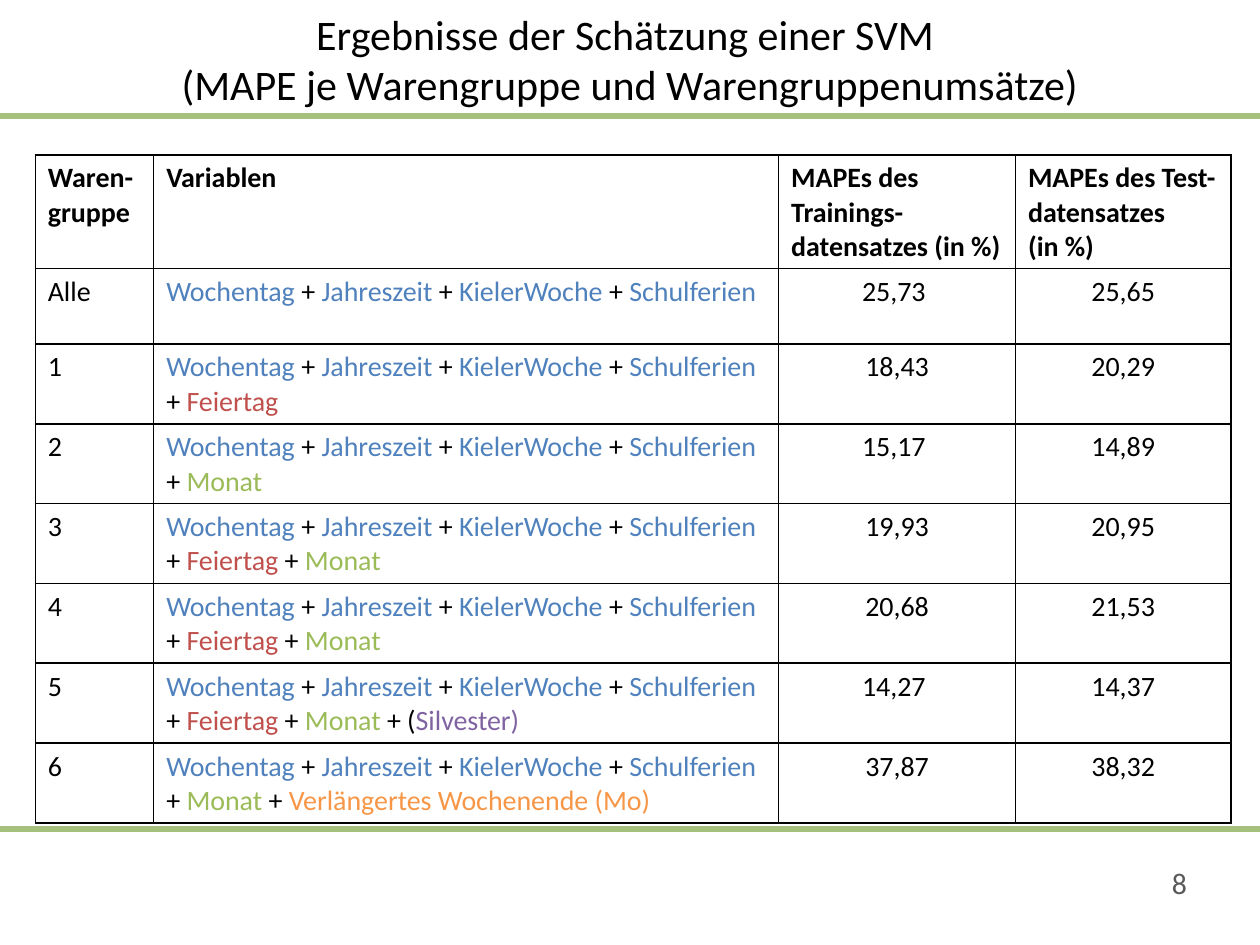
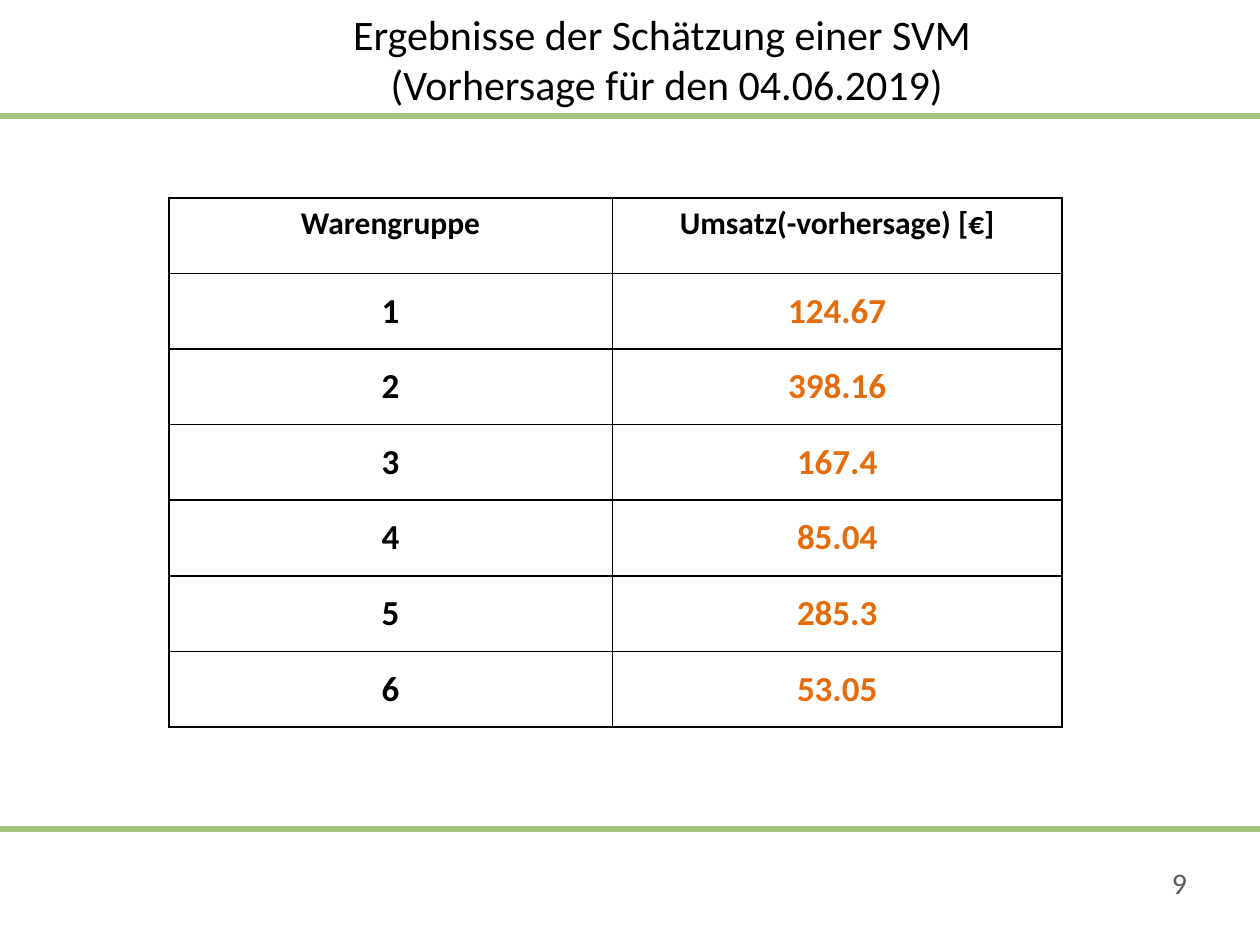
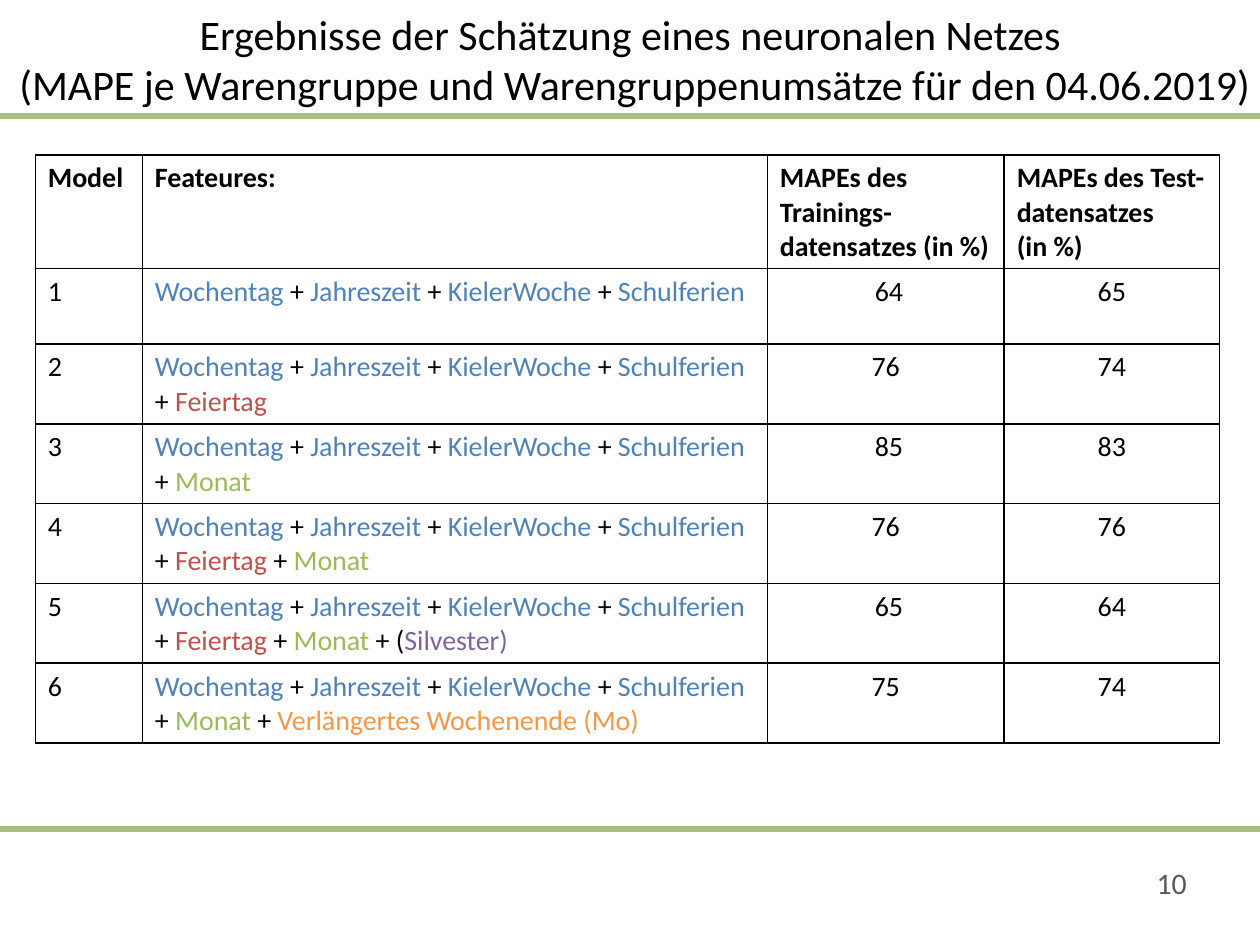
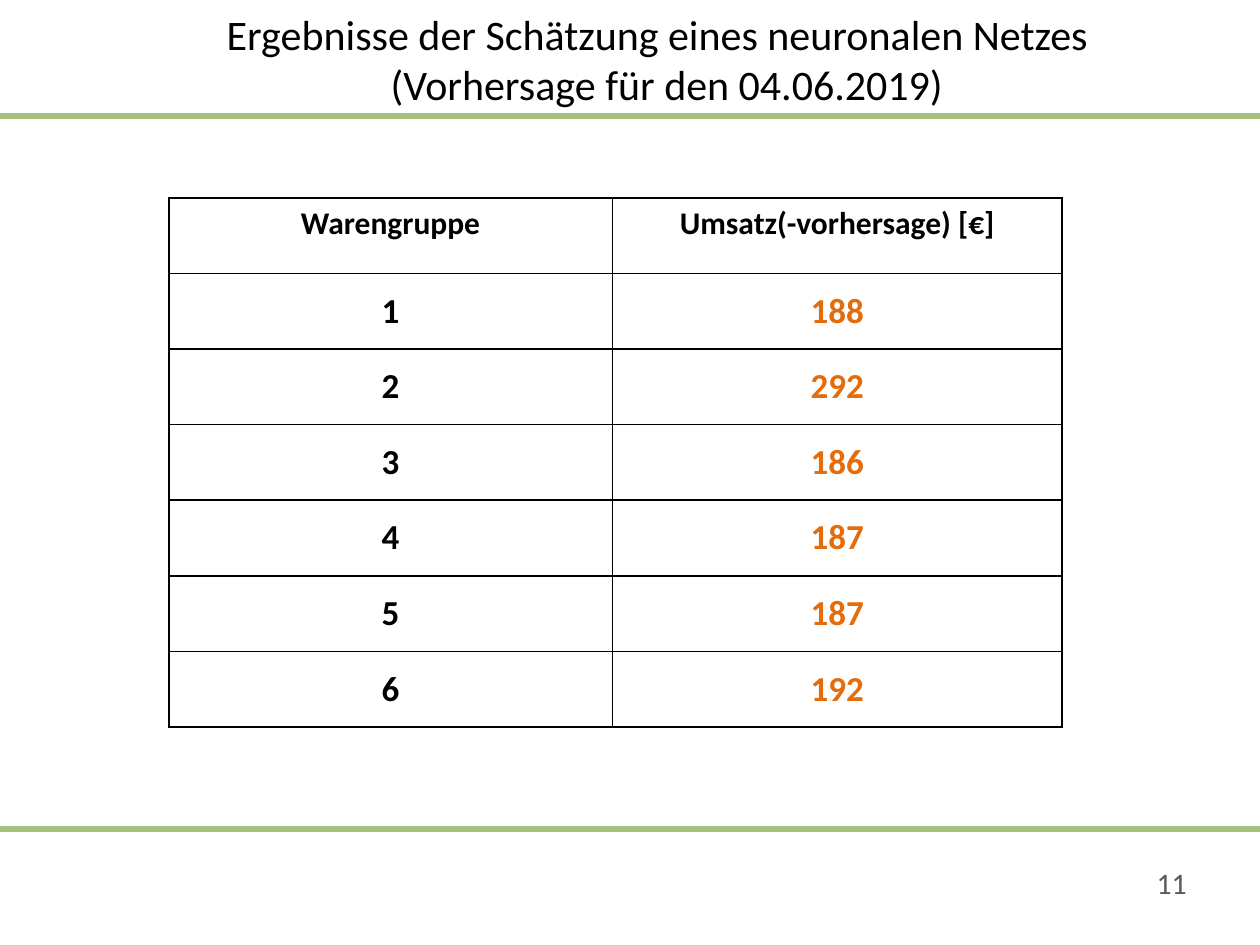
"""Build four slides with model errors and sales forecasts."""
import dataclasses

import lxml.etree
import pptx
import pptx.dml.color
import pptx.enum.shapes
import pptx.enum.text
import pptx.oxml.ns
import pptx.util

PX = 9144
ALIGN = pptx.enum.text.PP_ALIGN
ANCHOR = pptx.enum.text.MSO_ANCHOR


@dataclasses.dataclass(frozen=True)
class Theme:
    """Hold the colours, font and type sizes of the deck."""
    font: str = "Calibri"
    black: str = "000000"
    white: str = "FFFFFF"
    gray: str = "595959"
    green: str = "A6C07E"
    blue: str = "4F81BD"
    red: str = "C0504D"
    lime: str = "9BBB59"
    violet: str = "8064A2"
    amber: str = "F79646"
    orange: str = "E46C0A"
    title: int = 24
    page: int = 17
    cell: int = 16
    head: int = 18
    value: int = 20


@dataclasses.dataclass(frozen=True)
class Box:
    """Hold a place and size in px, 100 to the inch."""
    left: int
    top: int
    width: int
    height: int

    def emu(self):
        """Return the four lengths in EMU."""
        return [n * PX for n in (self.left, self.top, self.width, self.height)]


THEME = Theme()
HUES = {"Feiertag": THEME.red, "Monat": THEME.lime,
        "Silvester": THEME.violet, "Verlängertes": THEME.amber}
PAGE = Box(0, 0, 1000, 750)
RULES = (658, 92)
NUMBER = Box(718, 682, 233, 40)
PATCH = Box(12, 666, 244, 71)
WIDE = Box(0, 5, 1000, 83)
FULL = Box(-4, 5, 1016, 83)
RIGHT = Box(51, 5, 949, 83)
ERRORS = (28, 123)
SALES = (134, 157)

BASE = "Wochentag + Jahreszeit + KielerWoche + Schulferien"
HOLIDAY = BASE + "\n+ Feiertag"
MONTH = BASE + "\n+ Monat"
BOTH = HOLIDAY + " + Monat"
EVE = BASE + " + Feiertag + Monat + (Silvester)"
BREAK = MONTH + " + Verlängertes Wochenende (Mo)"
MAPES = ("MAPEs des Trainings-datensatzes (in %)",
         "MAPEs des Test-datensatzes\n(in %)")
SVM = "Ergebnisse der Schätzung einer SVM"
NET = "Ergebnisse der Schätzung eines neuronalen Netzes "
DAY = " (Vorhersage für den 04.06.2019)"

SVM_ROWS = (
    ("Waren-gruppe", "Variablen", *MAPES),
    ("Alle", BASE, "25,73 ", "25,65"),
    ("1", HOLIDAY, "18,43", "20,29"),
    ("2", MONTH, "15,17 ", "14,89"),
    ("3", BOTH, "19,93", "20,95"),
    ("4", BOTH, "20,68", "21,53"),
    ("5", EVE, "14,27 ", "14,37"),
    ("6", BREAK, "37,87", "38,32"),
)
NET_ROWS = (
    ("Model", "Feateures:", *MAPES),
    ("1", BASE, " 64", "65"),
    ("2", HOLIDAY, "76", "74"),
    ("3", MONTH, " 85", "83"),
    ("4", BOTH, "76", "76"),
    ("5", EVE, " 65", "64"),
    ("6", BREAK, "75", "74"),
)
SVM_SALES = ("124.67", "398.16", "167.4", "85.04", "285.3", "53.05")
NET_SALES = ("188", "292", "186", "187", "187", "192")


def rgb(code):
    """Turn a hex code into a colour."""
    return pptx.dml.color.RGBColor.from_string(code)


def style(run, size, hue=THEME.black, bold=False):
    """Set the font of one run."""
    run.font.name = THEME.font
    run.font.size = pptx.util.Pt(size)
    run.font.bold = bold
    run.font.color.rgb = rgb(hue)


def write(frame, text, size, hue=THEME.black, bold=False, align=ALIGN.LEFT):
    """Fill a text frame and format all its runs."""
    frame.text = text
    for para in frame.paragraphs:
        para.alignment = align
        for run in para.runs:
            style(run, size, hue, bold)


def add_run(para, text, hue):
    """Add one coloured run to a table paragraph."""
    run = para.add_run()
    run.text = text
    style(run, THEME.cell, hue)


def write_terms(frame, text):
    """Write a sum of terms, each in its own colour."""
    for row, line in enumerate(text.split("\n")):
        para = frame.add_paragraph() if row else frame.paragraphs[0]
        for spot, term in enumerate(line.split("+ ")):
            name = term.lstrip("(")
            if spot:
                add_run(para, "+ (" if name != term else "+ ", THEME.black)
            if name:
                key = name.split()[0].strip(")")
                add_run(para, name, HUES.get(key, THEME.blue))


def frame_cell(cell):
    """Clear the fill of a cell and give it thin black borders."""
    cell.fill.background()
    props = cell._tc.get_or_add_tcPr()
    qn = pptx.oxml.ns.qn
    for spot, side in enumerate(("lnL", "lnR", "lnT", "lnB")):
        line = lxml.etree.Element(qn("a:" + side), w=str(pptx.util.Pt(1)))
        fill = lxml.etree.SubElement(line, qn("a:solidFill"))
        lxml.etree.SubElement(fill, qn("a:srgbClr"), val=THEME.black)
        props.insert(spot, line)


def add_grid(slide, spot, cols, rows):
    """Add an empty ruled table and return it."""
    box = Box(*spot, sum(cols), sum(rows))
    table = slide.shapes.add_table(len(rows), len(cols), *box.emu()).table
    table.first_row = table.horz_banding = False
    for col, width in zip(table.columns, cols):
        col.width = width * PX
    for row, height in zip(table.rows, rows):
        row.height = height * PX
    for cell in table.iter_cells():
        frame_cell(cell)
    return table


def add_errors(slide, spot, first, rows):
    """Add the table of errors for each model."""
    heights = [85] + [60] * (len(rows) - 1)
    table = add_grid(slide, spot, (first, 496, 188, 171), heights)
    for r, row in enumerate(rows):
        for c, text in enumerate(row):
            frame = table.cell(r, c).text_frame
            if r and c == 1:
                write_terms(frame, text)
            else:
                align = ALIGN.CENTER if r and c > 1 else ALIGN.LEFT
                write(frame, text, THEME.cell, bold=r == 0, align=align)


def add_sales(slide, spot, sales):
    """Add the table of forecast sales for each group."""
    rows = [("Warengruppe", "Umsatz(-vorhersage) [€]")]
    rows += [(str(n), sum_) for n, sum_ in enumerate(sales, 1)]
    table = add_grid(slide, spot, (352, 357), [60] * len(rows))
    for r, row in enumerate(rows):
        for c, text in enumerate(row):
            cell = table.cell(r, c)
            if r:
                cell.vertical_anchor = ANCHOR.MIDDLE
            write(cell.text_frame, text, THEME.value if r else THEME.head,
                  THEME.orange if r and c else THEME.black, True, ALIGN.CENTER)


def add_rules(layout, slide, box):
    """Draw the two green rules and move them to the layout."""
    for top in RULES:
        ends = Box(box.left, box.top + top, box.left + box.width, box.top + top)
        rule = slide.shapes.add_connector(
            pptx.enum.shapes.MSO_CONNECTOR.STRAIGHT, *ends.emu())
        rule.line.color.rgb = rgb(THEME.green)
        rule.line.width = pptx.util.Pt(3)
        lxml.etree.SubElement(rule.element.spPr, pptx.oxml.ns.qn("a:effectLst"))
        layout.shapes.element.append(rule.element)


def add_title(slide, box, lines):
    """Place and fill the title."""
    title = slide.shapes.title
    title.left, title.top, title.width, title.height = box.emu()
    frame = title.text_frame
    frame.word_wrap = True
    frame.auto_size = pptx.enum.text.MSO_AUTO_SIZE.NONE
    frame.vertical_anchor = ANCHOR.MIDDLE
    write(frame, "\v".join(lines), THEME.title, align=ALIGN.CENTER)


def add_footer(slide, number):
    """Add the page number and the white patch."""
    frame = slide.shapes.add_textbox(*NUMBER.emu()).text_frame
    frame.word_wrap = True
    frame.margin_left = frame.margin_right = 9 * PX
    frame.margin_top = frame.margin_bottom = 4 * PX
    write(frame, str(number), THEME.page, THEME.gray, align=ALIGN.RIGHT)
    patch = slide.shapes.add_shape(
        pptx.enum.shapes.MSO_SHAPE.RECTANGLE, *PATCH.emu())
    patch.shadow.inherit = False
    patch.fill.solid()
    patch.fill.fore_color.rgb = rgb(THEME.white)
    patch.line.color.rgb = rgb(THEME.white)
    patch.line.width = pptx.util.Pt(2)


def main():
    """Build and save the deck."""
    deck = pptx.Presentation()
    deck.slide_width, deck.slide_height = PAGE.width * PX, PAGE.height * PX
    layout = deck.slide_layouts[5]
    mape = "(MAPE je Warengruppe und Warengruppenumsätze"
    pages = (
        (WIDE, (SVM + " ", mape + ")"), add_errors, (ERRORS, 94, SVM_ROWS)),
        (RIGHT, (SVM, DAY), add_sales, (SALES, SVM_SALES)),
        (FULL, (NET, mape + " für den 04.06.2019)"), add_errors,
         (ERRORS, 85, NET_ROWS)),
        (RIGHT, (NET, DAY), add_sales, (SALES, NET_SALES)),
    )
    for number, (box, lines, fill, args) in enumerate(pages, 8):
        slide = deck.slides.add_slide(layout)
        add_title(slide, box, lines)
        add_footer(slide, number)
        fill(slide, *args)
    add_rules(layout, slide, PAGE)
    deck.save("out.pptx")


if __name__ == "__main__":
    main()
